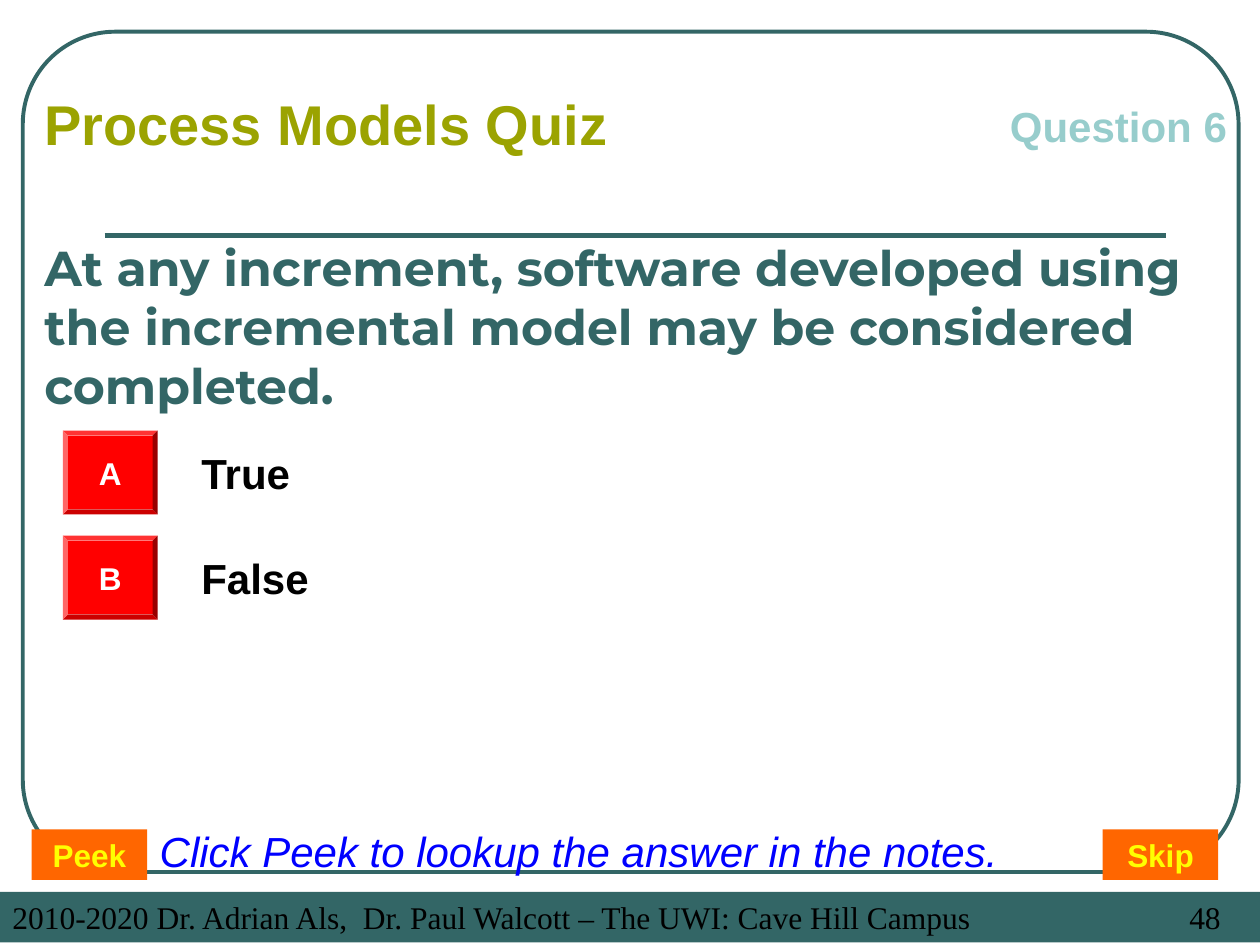
from lxml import etree
from pptx import Presentation
from pptx import util as u
from pptx.dml.color import RGBColor
from pptx.enum import shapes, text
from pptx.oxml.ns import qn

colours = {
    "teal": "336666", "pale": "97CDCC", "olive": "9BA301", "red": "FF0000",
    "orange": "FF6600", "yellow": "FFFF00", "blue": "0000FF",
    "black": "000000", "white": "FFFFFF",
}
LEFT, CENTRE, RIGHT = text.PP_ALIGN.LEFT, text.PP_ALIGN.CENTER, text.PP_ALIGN.RIGHT


def write(shape, words, size, colour, font="Arial", bold=True, italic=False,
          align=LEFT, anchor=text.MSO_ANCHOR.TOP):
    frame = shape.text_frame
    frame.text = words
    frame.word_wrap = True
    frame.auto_size = text.MSO_AUTO_SIZE.NONE
    frame.vertical_anchor = anchor
    line = frame.paragraphs[0]
    line.alignment = align
    style = line.runs[0].font
    style.name, style.size = font, u.Pt(size)
    style.bold, style.italic = bold, italic
    style.color.rgb = RGBColor.from_string(colours[colour])


def block(preset, left, top, width, height, fill):
    shape = slide.shapes.add_shape(preset, u.Cm(left), u.Cm(top), u.Cm(width), u.Cm(height))
    shape.shadow.inherit = False
    shape.line.fill.background()
    shape.fill.solid()
    shape.fill.fore_color.rgb = RGBColor.from_string(colours[fill])
    return shape


deck = Presentation()
deck.slide_width, deck.slide_height = u.Cm(25.4), u.Cm(19.05)
slide = deck.slides.add_slide(deck.slide_layouts[5])
teal = RGBColor.from_string(colours["teal"])

border = block(shapes.MSO_SHAPE.ROUNDED_RECTANGLE, 0.46, 0.64, 24.51, 16.94, "white")
border.fill.background()
border.adjustments[0] = 0.11
border.line.color.rgb = teal
border.line.width = u.Pt(2.25)

rule = slide.shapes.add_connector(
    shapes.MSO_CONNECTOR.STRAIGHT, u.Cm(2.11), u.Cm(4.75), u.Cm(23.5), u.Cm(4.75))
rule.line.color.rgb = teal
rule.line.width = u.Pt(3)
etree.SubElement(rule._element.spPr, qn("a:effectLst"))

footer = block(shapes.MSO_SHAPE.RECTANGLE, 0, 17.98, 25.4, 1.02, "teal")
write(footer, "2010-2020 Dr. Adrian Als,  Dr. Paul Walcott – The UWI: Cave Hill Campus",
      18, "black", "Times New Roman", bold=False)

question = slide.shapes.title
question.left, question.top = u.Cm(0.64), u.Cm(4.66)
question.width, question.height = u.Cm(24.13), u.Cm(3.81)
write(question, "At any increment, software developed using the incremental model "
      "may be considered completed.", 28, "teal", "Montserrat",
      anchor=text.MSO_ANCHOR.MIDDLE)

for row, (letter, answer) in enumerate([("A", "True"), ("B", "False")]):
    top = 8.68 + row * 2.12
    button = block(shapes.MSO_SHAPE.BEVEL, 1.27, top, 1.91, 1.69, "red")
    button.adjustments[0] = 0.06
    write(button, letter, 18, "white", align=CENTRE, anchor=text.MSO_ANCHOR.MIDDLE)
    choice = slide.shapes.add_textbox(u.Cm(3.81), u.Cm(top + 0.21), u.Cm(20), u.Cm(1.27))
    write(choice, answer, 24, "black")

for label, left in [("Peek", 0.64), ("Skip", 22.23)]:
    button = block(shapes.MSO_SHAPE.RECTANGLE, left, 16.72, 2.33, 1.02, "orange")
    write(button, label, 18, "yellow", align=CENTRE)

notes = [
    ("Question 6", 20.11, 1.91, 5.29, 1.27, dict(size=24, colour="pale")),
    ("Process Models Quiz", 0.64, 1.69, 16.51, 1.63, dict(size=32, colour="olive")),
    ("Click Peek to lookup the answer in the notes.", 2.97, 16.51, 18.2, 1.27,
     dict(size=24, colour="blue", bold=False, italic=True)),
    ("48", 23.16, 17.98, 1.7, 1.02,
     dict(size=18, colour="black", font="Times New Roman", bold=False, align=RIGHT)),
]
for words, left, top, width, height, style in notes:
    note = slide.shapes.add_textbox(u.Cm(left), u.Cm(top), u.Cm(width), u.Cm(height))
    write(note, words, **style)

deck.save("out.pptx")
